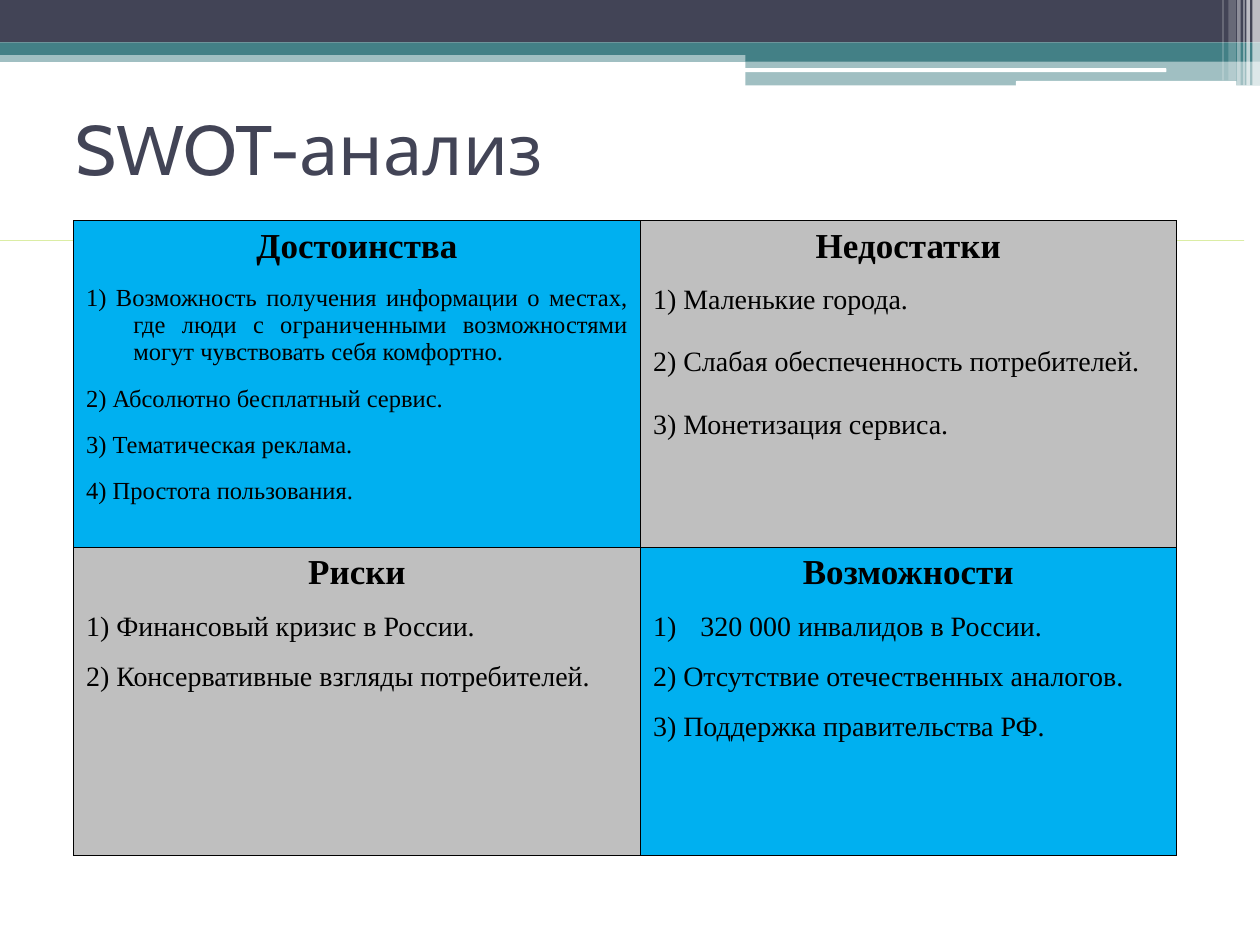
from lxml.etree import SubElement
from pptx import Presentation
from pptx.dml.color import RGBColor
from pptx.enum.shapes import MSO_SHAPE as Shape
from pptx.enum.text import MSO_ANCHOR as Anchor, PP_ALIGN as Align
from pptx.oxml.ns import qn
from pptx.util import Pt

NAVY = RGBColor(0x42, 0x44, 0x56)
TEAL = RGBColor(0x43, 0x80, 0x86)
WHITE = RGBColor(0xFF, 0xFF, 0xFF)
BLACK = RGBColor(0, 0, 0)
LIME = RGBColor(0x99, 0xCC, 0x00)
BLUE = RGBColor(0x00, 0xB0, 0xF0)
GREY = RGBColor(0xBF, 0xBF, 0xBF)
SERIF = "Times New Roman"
HANG = 27

# left, top, width, height, colour, opacity in percent
BANDS = [
    (0, 28.8, 720, 6.6, TEAL, 50),
    (0, 0, 720, 24.2, NAVY, 100),
    (0, 24.2, 720, 7.2, TEAL, 100),
    (426, 28.1, 294, 7, TEAL, 100),
    (426, 34.6, 294, 14.2, TEAL, 50),
]
PILLS = [(425.5, 39, 241, 2.2), (580.5, 46.3, 126, 2.9)]
# left, width, height, opacity in percent
STRIPES = [
    (715.6, 4.4, 48.8, 65),
    (712.2, 2, 48.8, 65),
    (710.5, 0.7, 48.8, 60),
    (707, 2, 48.8, 40),
    (702, 4.3, 46, 20),
    (698.5, 0.7, 46, 30),
]

# heading, fill, text size, gap above items, alignment, numbered first, items
CELLS = [
    [
        ("Достоинства", BLUE, 14, 11, Align.JUSTIFY, False, [
            "1) Возможность получения информации о местах, где люди с "
            "ограниченными возможностями могут чувствовать себя комфортно.",
            "2) Абсолютно бесплатный сервис.",
            "3) Тематическая реклама.",
            "4) Простота пользования.",
        ]),
        ("Недостатки", GREY, 16, 17.7, Align.JUSTIFY, False, [
            "1) Маленькие города.",
            "2) Слабая обеспеченность потребителей.",
            "3) Монетизация сервиса.",
        ]),
    ],
    [
        ("Риски", GREY, 16, 11, Align.LEFT, False, [
            "1) Финансовый кризис в России.",
            "2) Консервативные взгляды потребителей.",
        ]),
        ("Возможности", BLUE, 16, 11, Align.JUSTIFY, True, [
            "320 000 инвалидов в России.",
            "2) Отсутствие отечественных аналогов.",
            "3) Поддержка правительства РФ.",
        ]),
    ],
]


def add_block(slide, left, top, width, height, color, alpha=100,
              kind=Shape.RECTANGLE):
    block = slide.shapes.add_shape(
        kind, Pt(left), Pt(top), Pt(width), Pt(height))
    block.shadow.inherit = False
    block.line.fill.background()
    block.fill.solid()
    block.fill.fore_color.rgb = color
    if alpha < 100:
        tint = block.fill._xPr.find(qn("a:solidFill"))[0]
        SubElement(tint, qn("a:alpha"), val=str(alpha * 1000))


def add_title(slide, text):
    box = slide.shapes.add_textbox(Pt(36), Pt(42), Pt(648), Pt(84))
    frame = box.text_frame
    frame.word_wrap = True
    frame.vertical_anchor = Anchor.MIDDLE
    para = frame.paragraphs[0]
    para.text = text
    set_font(para, "Cabin", 40, NAVY)


def set_font(para, name, size, color, bold=False):
    font = para.font
    font.name, font.size, font.bold = name, Pt(size), bold
    font.color.rgb = color


def set_para(para, text, size, align, gap=0, bold=False, number=False):
    """Write a hanging paragraph, with an automatic number on request."""
    para.text = text
    para.alignment = align
    props = para._p.get_or_add_pPr()
    props.set("marL", str(Pt(HANG)))
    props.set("indent", str(-Pt(HANG)))
    if number:
        SubElement(props, qn("a:buAutoNum"), type="arabicParenR")
    if gap:
        para.space_before = Pt(gap)
    set_font(para, SERIF, size, BLACK, bold)


def set_edges(cell):
    props = cell._tc.get_or_add_tcPr()
    for side in ("lnL", "lnR", "lnT", "lnB"):
        edge = SubElement(props, qn("a:" + side), w=str(Pt(0.45)))
        paint = SubElement(edge, qn("a:solidFill"))
        SubElement(paint, qn("a:srgbClr"), val=str(BLACK))


def fill_cell(cell, head, color, size, gap, align, number, items):
    set_edges(cell)
    cell.fill.solid()
    cell.fill.fore_color.rgb = color
    frame = cell.text_frame
    set_para(frame.paragraphs[0], head, 20, Align.CENTER, bold=True)
    for i, item in enumerate(items):
        set_para(frame.add_paragraph(), item, size, align,
                 gap if i else 11, number=number and i == 0)


def add_grid(slide):
    grid = slide.shapes.add_table(
        2, 2, Pt(42), Pt(126), Pt(630), Pt(363)).table
    grid.first_row = grid.horz_banding = False
    for col, width in zip(grid.columns, (324, 306)):
        col.width = Pt(width)
    for row, height, data in zip(grid.rows, (186.5, 176.5), CELLS):
        row.height = Pt(height)
        for cell, entry in zip(row.cells, data):
            fill_cell(cell, *entry)


def main():
    deck = Presentation()
    deck.slide_width, deck.slide_height = Pt(720), Pt(540)
    slide = deck.slides.add_slide(deck.slide_layouts[6])
    for band in BANDS:
        add_block(slide, *band)
    for pill in PILLS:
        add_block(slide, *pill, WHITE, kind=Shape.ROUNDED_RECTANGLE)
    for left, width, height, alpha in STRIPES:
        add_block(slide, left, 0, width, height, WHITE, alpha)
    add_title(slide, "SWOT-анализ")
    add_block(slide, 0, 137.3, 711, 0, LIME)
    add_grid(slide)
    deck.save("out.pptx")


if __name__ == "__main__":
    main()
